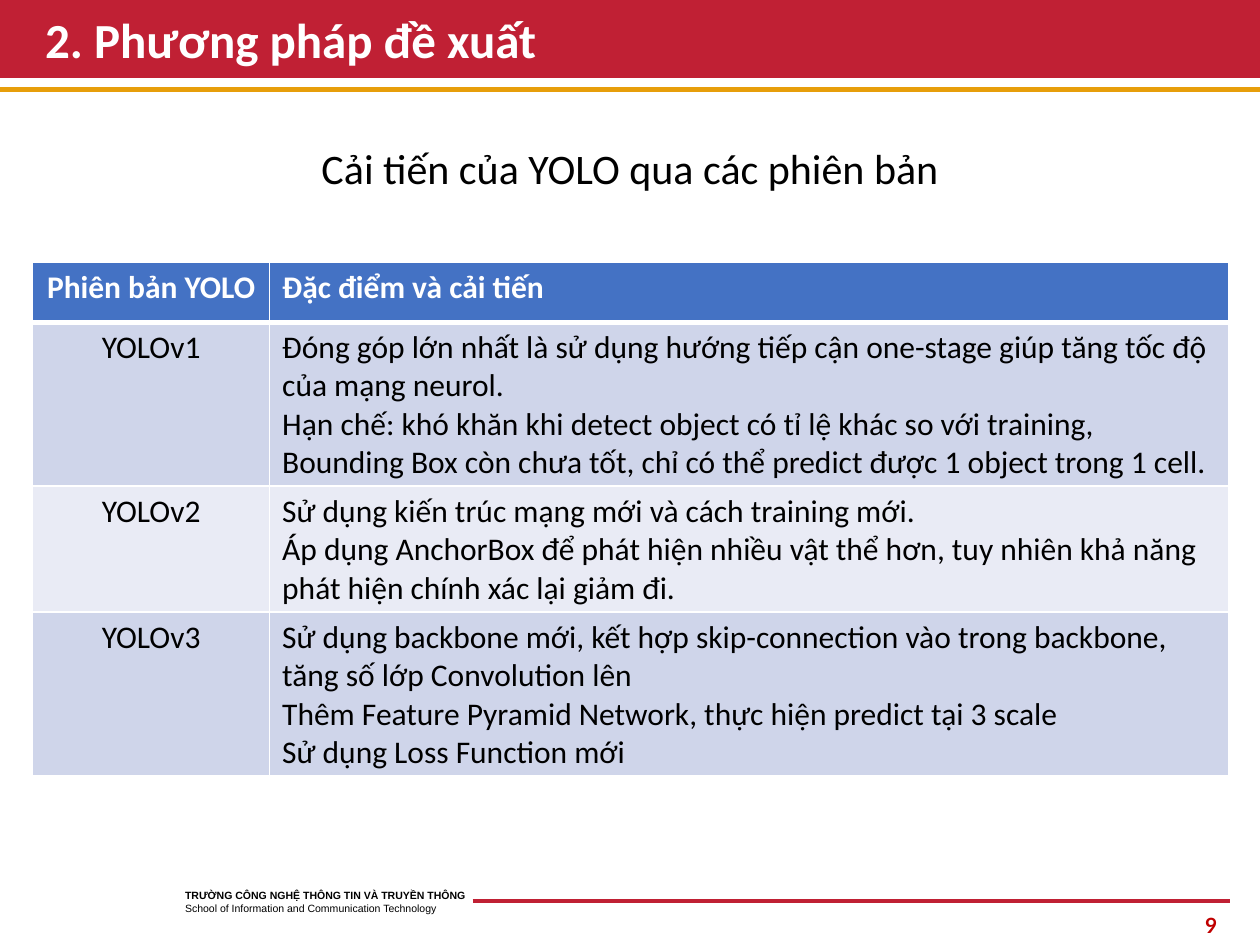
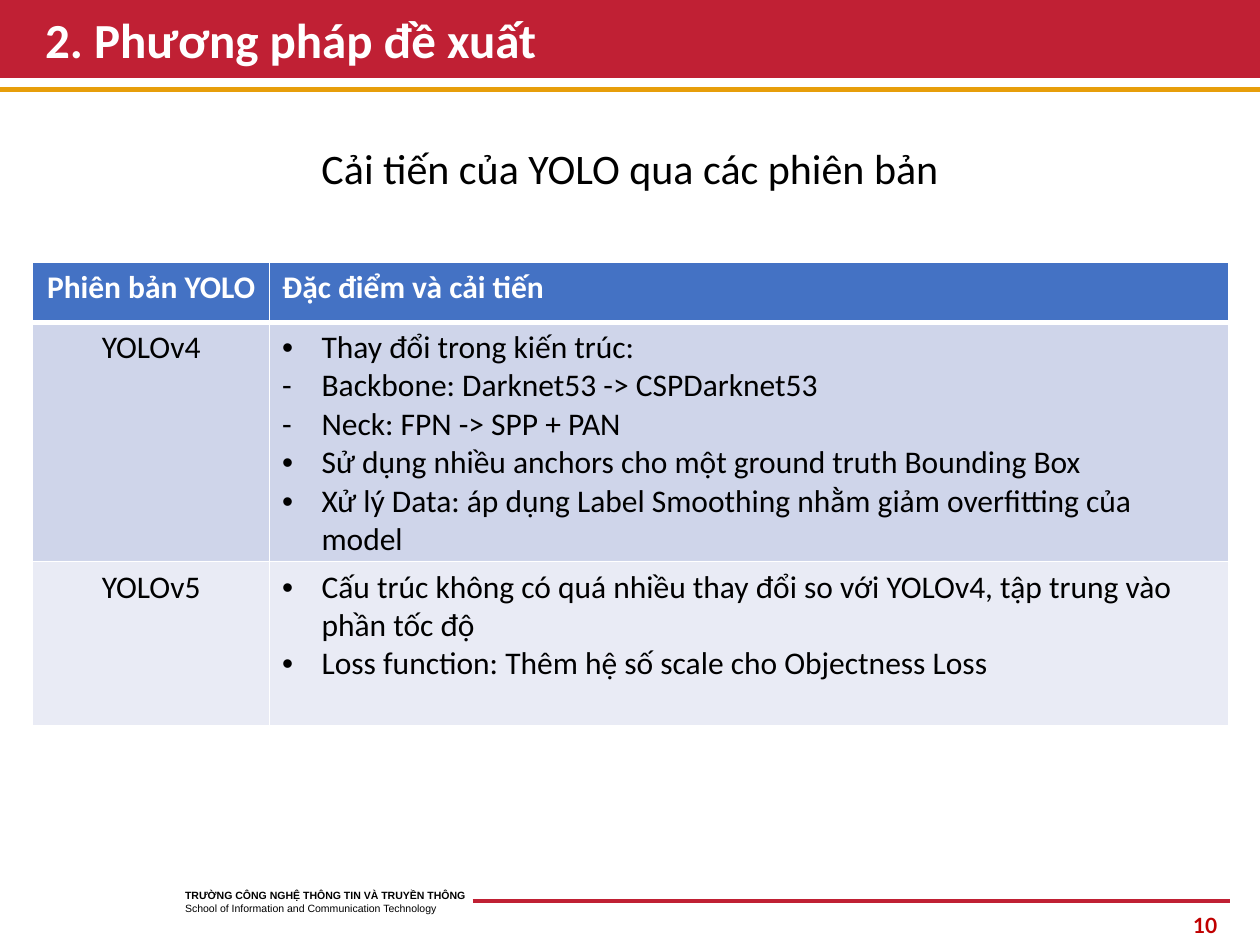
from dataclasses import dataclass
from typing import Any

from lxml.etree import SubElement
from pptx import Presentation
from pptx.dml.color import RGBColor as RGB
from pptx.enum.shapes import MSO_CONNECTOR as Conn
from pptx.enum.text import MSO_ANCHOR as Anchor, PP_ALIGN as Align
from pptx.oxml.ns import qn
from pptx.util import Pt

COLORS = {
    "red": "C02034",
    "gold": "E79E0A",
    "number": "C00000",
    "header": "4472C4",
    "odd": "CFD5EA",
    "even": "E9EBF5",
    "white": "FFFFFF",
    "black": "000000",
}
TITLE = "2. Phương pháp đề xuất"
SUBTITLE = "Cải tiến của YOLO qua các phiên bản"
SCHOOL = "TRƯỜNG CÔNG NGHỆ THÔNG TIN VÀ TRUYỀN THÔNG"
SCHOOL_EN = "School of Information and Communication Technology"
HEADINGS = ("Phiên bản YOLO", "Đặc điểm và cải tiến")
TABLE_LEFT, TABLE_TOP = 18.72, 149.76
COLUMN_WIDTHS = (135.36, 547.92)
HEADER_HEIGHT = 34.4
BULLET_INDENT = 22.5
BULLET_FONTS = {"•": "Arial", "-": "Calibri"}


@dataclass(frozen=True)
class Rule:
    x1: float
    x2: float
    y: float
    color: str
    width: float


@dataclass(frozen=True)
class Label:
    left: float
    top: float
    width: float
    height: float
    format: dict[str, Any]
    color: str
    align: Align = Align.LEFT
    anchor: Anchor = Anchor.TOP
    spacing: float = 1.0


@dataclass(frozen=True)
class Item:
    text: str
    bullet: str = ""


@dataclass(frozen=True)
class Version:
    name: str
    height: float
    items: tuple[Item, ...]


@dataclass(frozen=True)
class Page:
    number: int
    versions: tuple[Version, ...]


RULES = (
    Rule(0, 720, 22.32, "red", 45),
    Rule(0, 720, 51.12, "gold", 3),
    Rule(270, 702.72, 514.8, "red", 2.25),
)
TITLE_LABEL = Label(18.72, 6.48, 683.28, 35.28,
                    {"name": "Calibri", "size": Pt(28), "bold": True},
                    "white", anchor=Anchor.MIDDLE, spacing=0.9)
SUBTITLE_LABEL = Label(174.24, 77.76, 371.52, 36,
                       {"name": "Calibri", "size": Pt(24)}, "black", Align.CENTER)
SCHOOL_LABEL = Label(98.64, 504.72, 208.08, 21.6,
                     {"name": "Arial", "size": Pt(6)}, "black")
NUMBER_LABEL = Label(540.72, 517.68, 162, 21.6,
                     {"name": "Lato", "size": Pt(12), "bold": True},
                     "number", Align.RIGHT, Anchor.MIDDLE)

PAGES = (
    Page(9, (
        Version("YOLOv1", 93.7, (
            Item("Đóng góp lớn nhất là sử dụng hướng tiếp cận one-stage giúp tăng tốc độ "
                 "của mạng neurol."),
            Item("Hạn chế: khó khăn khi detect object có tỉ lệ khác so với training, "
                 "Bounding Box còn chưa tốt, chỉ có thể predict được 1 object trong 1 cell."),
        )),
        Version("YOLOv2", 72, (
            Item("Sử dụng kiến trúc mạng mới và cách training mới."),
            Item("Áp dụng AnchorBox để phát hiện nhiều vật thể hơn, tuy nhiên khả năng "
                 "phát hiện chính xác lại giảm đi."),
        )),
        Version("YOLOv3", 93.7, (
            Item("Sử dụng backbone mới, kết hợp skip-connection vào trong backbone, "
                 "tăng số lớp Convolution lên"),
            Item("Thêm Feature Pyramid Network, thực hiện predict tại 3 scale"),
            Item("Sử dụng Loss Function mới"),
        )),
    )),
    Page(10, (
        Version("YOLOv4", 136.8, (
            Item("Thay đổi trong kiến trúc:", "•"),
            Item("Backbone: Darknet53 -> CSPDarknet53", "-"),
            Item("Neck: FPN -> SPP + PAN", "-"),
            Item("Sử dụng nhiều anchors cho một ground truth Bounding Box", "•"),
            Item("Xử lý Data: áp dụng Label Smoothing nhằm giảm overfitting của model", "•"),
        )),
        Version("YOLOv5", 93.7, (
            Item("Cấu trúc không có quá nhiều thay đổi so với YOLOv4, tập trung vào "
                 "phần tốc độ", "•"),
            Item("Loss function: Thêm hệ số scale cho Objectness Loss", "•"),
        )),
    )),
)


def rgb(color: str) -> RGB:
    return RGB.from_string(COLORS[color])


def style_font(font, values: dict[str, Any], color: str) -> None:
    for name, value in values.items():
        setattr(font, name, value)
    font.color.rgb = rgb(color)


def add_rule(s, rule: Rule) -> None:
    line = s.shapes.add_connector(Conn.STRAIGHT, Pt(rule.x1), Pt(rule.y),
                                  Pt(rule.x2), Pt(rule.y))
    line.line.color.rgb = rgb(rule.color)
    line.line.width = Pt(rule.width)
    SubElement(line._element.spPr, qn("a:effectLst"))


def add_label(s, label: Label, text: str):
    box = s.shapes.add_textbox(*map(Pt, (label.left, label.top, label.width, label.height)))
    tf = box.text_frame
    tf.word_wrap = True
    tf.vertical_anchor = label.anchor
    p = tf.paragraphs[0]
    p.alignment = label.align
    p.line_spacing = label.spacing
    r = p.add_run()
    r.text = text
    style_font(r.font, label.format, label.color)
    return p


def add_school(s) -> None:
    p = add_label(s, SCHOOL_LABEL, SCHOOL)
    p.runs[0].font.bold = True
    p.add_line_break()
    r = p.add_run()
    r.text = SCHOOL_EN
    style_font(r.font, SCHOOL_LABEL.format, SCHOOL_LABEL.color)


def add_bullet(p, bullet: str) -> None:
    pPr = p._p.get_or_add_pPr()
    pPr.set("marL", str(Pt(BULLET_INDENT)))
    pPr.set("indent", str(-Pt(BULLET_INDENT)))
    SubElement(pPr, qn("a:buFont"), typeface=BULLET_FONTS[bullet])
    SubElement(pPr, qn("a:buChar"), char=bullet)


def add_border(cell, side: str, width: float) -> None:
    line = SubElement(cell._tc.get_or_add_tcPr(), qn(f"a:ln{side}"), w=str(Pt(width)))
    fill = SubElement(line, qn("a:solidFill"))
    SubElement(fill, qn("a:srgbClr"), val=COLORS["white"])


def fill_cell(cell, items: tuple[Item, ...], row: int, column: int) -> None:
    is_header = row == 0
    widths = {"L": 1, "R": 1, "T": 3 if row == 1 else 1, "B": 3 if is_header else 1}
    for side, width in widths.items():
        add_border(cell, side, width)
    cell.fill.solid()
    cell.fill.fore_color.rgb = rgb("header" if is_header else "odd" if row % 2 else "even")
    tf = cell.text_frame
    for i, item in enumerate(items):
        p = tf.add_paragraph() if i else tf.paragraphs[0]
        p.alignment = Align.LEFT if column else Align.CENTER
        if item.bullet:
            add_bullet(p, item.bullet)
        r = p.add_run()
        r.text = item.text
        style_font(r.font, {"name": "Calibri", "size": Pt(18), "bold": is_header},
                   "white" if is_header else "black")


def add_versions(s, versions: tuple[Version, ...]) -> None:
    heights = [HEADER_HEIGHT, *(v.height for v in versions)]
    table = s.shapes.add_table(len(heights), len(COLUMN_WIDTHS), Pt(TABLE_LEFT), Pt(TABLE_TOP),
                               Pt(sum(COLUMN_WIDTHS)), Pt(sum(heights))).table
    for column, width in zip(table.columns, COLUMN_WIDTHS):
        column.width = Pt(width)
    for row, height in zip(table.rows, heights):
        row.height = Pt(height)
    contents = [tuple((Item(h),) for h in HEADINGS)]
    contents += [((Item(v.name),), v.items) for v in versions]
    for i, cells in enumerate(contents):
        for j, items in enumerate(cells):
            fill_cell(table.cell(i, j), items, i, j)


def add_page(prs, page: Page) -> None:
    s = prs.slides.add_slide(prs.slide_layouts[6])
    for rule in RULES:
        add_rule(s, rule)
    add_school(s)
    add_label(s, NUMBER_LABEL, str(page.number))
    add_label(s, TITLE_LABEL, TITLE)
    add_label(s, SUBTITLE_LABEL, SUBTITLE)
    add_versions(s, page.versions)


def main() -> None:
    prs = Presentation()
    prs.slide_width, prs.slide_height = Pt(720), Pt(540)
    for page in PAGES:
        add_page(prs, page)
    prs.save("out.pptx")


if __name__ == "__main__":
    main()
